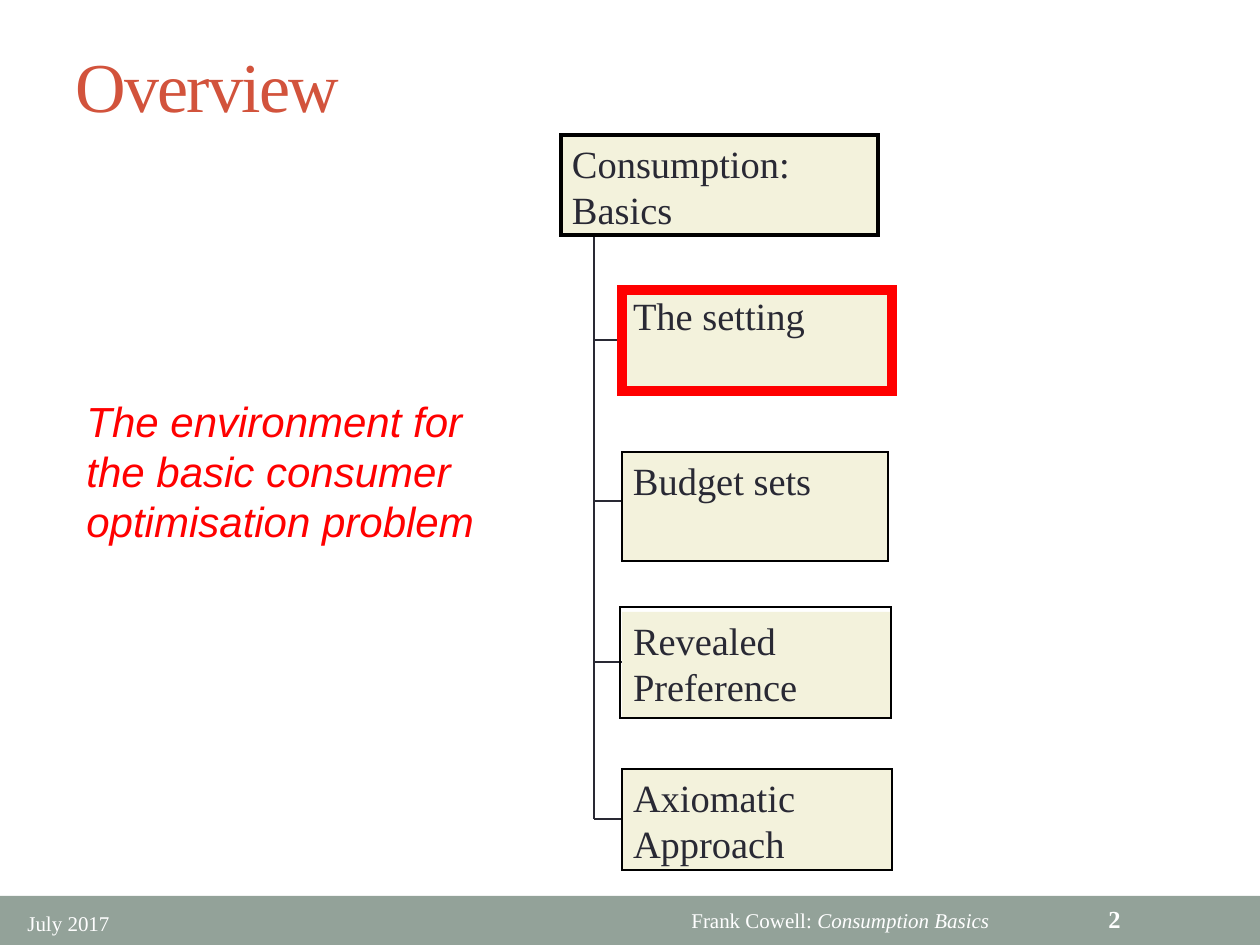
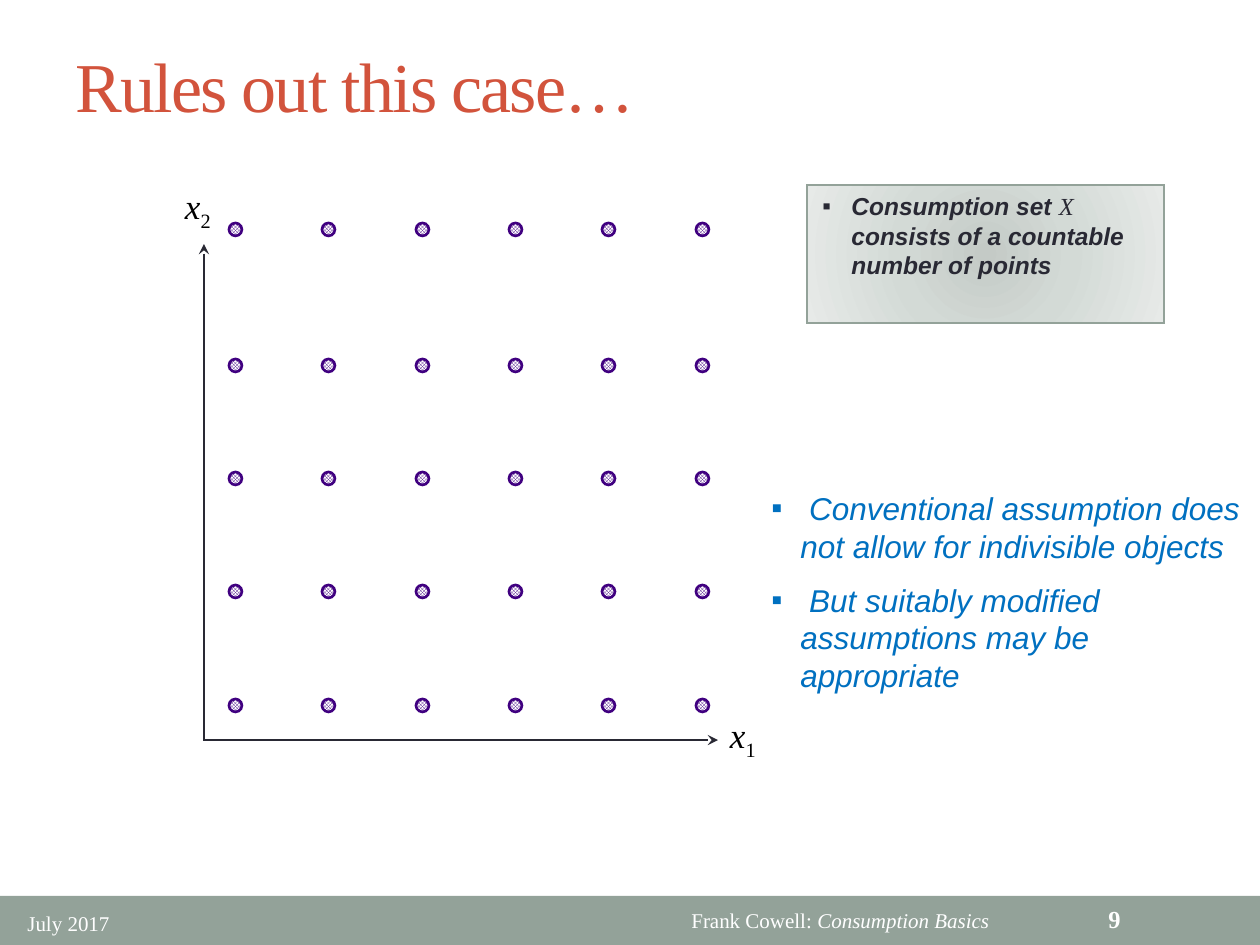
"""Build two consumer theory slides: a topic overview and a discrete consumption set."""
import lxml.etree
import pptx
import pptx.dml.color
import pptx.enum.dml
import pptx.enum.shapes
import pptx.enum.text
import pptx.oxml.ns
import pptx.util

SCALE = 914400 / 126
SERIF, SANS = "Times New Roman", "Arial"
WHITE, BLACK, RED = "FFFFFF", "000000", "FF0000"
SAGE, RUST, INK, CREAM = "93A299", "D2533C", "292934", "F3F2DC"
BLUE, PURPLE = "0070C0", "400080"
MIDDLE = pptx.enum.text.MSO_ANCHOR.MIDDLE
RECTANGLE = pptx.enum.shapes.MSO_SHAPE.RECTANGLE
BULLET_INDENT = 29


def px(value):
    """Turn pixels into EMU."""
    return pptx.util.Emu(round(value * SCALE))


def color(value):
    """Turn a hex string into a colour."""
    return pptx.dml.color.RGBColor.from_string(value)


def add_xml(parent, tag, **attributes):
    """Append a DrawingML element to a parent."""
    return lxml.etree.SubElement(parent, pptx.oxml.ns.qn(tag), attributes)


def set_font(font, name, size, ink, bold=False, italic=False):
    """Set the look of a paragraph or run font."""
    font.name, font.size = name, pptx.util.Pt(size)
    font.bold, font.italic = bold, italic
    font.color.rgb = color(ink)


def set_line(shape, ink, width):
    """Set a sharp-cornered outline on a shape or connector."""
    shape.line.color.rgb = color(ink)
    shape.line.width = pptx.util.Pt(width)
    add_xml(shape.line._get_or_add_ln(), "a:miter", lim="800000")


def add_textbox(slide, box, anchor=None, inset=None):
    """Add a wrapping text box and return its frame."""
    frame = slide.shapes.add_textbox(*map(px, box)).text_frame
    frame.word_wrap = True
    if anchor is not None:
        frame.vertical_anchor = anchor
    if inset is not None:
        frame.margin_left = frame.margin_right = px(inset)
        frame.margin_top = frame.margin_bottom = px(inset)
    return frame


def add_label(slide, box, text, name, size, ink, anchor=None, **style):
    """Add a text box with one paragraph in one style."""
    paragraph = add_textbox(slide, box, anchor).paragraphs[0]
    paragraph.text = text
    set_font(paragraph.font, name, size, ink, **style)
    return paragraph


def add_shape(slide, kind, box, fill=None, line=None, width=1.5):
    """Add a flat preset shape."""
    shape = slide.shapes.add_shape(kind, *map(px, box))
    shape.shadow.inherit = False
    if fill:
        shape.fill.solid()
        shape.fill.fore_color.rgb = color(fill)
    else:
        shape.fill.background()
    if line:
        set_line(shape, line, width)
    else:
        shape.line.fill.background()
    return shape


def add_panel(slide, box, text):
    """Add a cream panel with text at its top left."""
    frame = add_shape(slide, RECTANGLE, box, CREAM).text_frame
    frame.word_wrap = True
    frame.vertical_anchor = pptx.enum.text.MSO_ANCHOR.TOP
    frame.margin_left = frame.margin_right = px(11)
    frame.margin_top = frame.margin_bottom = px(5)
    paragraph = frame.paragraphs[0]
    paragraph.text = text
    paragraph.alignment = pptx.enum.text.PP_ALIGN.LEFT
    set_font(paragraph.font, SERIF, 22, INK)


def add_branch(slide, start, end):
    """Add one straight line of the topic tree."""
    straight = pptx.enum.shapes.MSO_CONNECTOR.STRAIGHT
    connector = slide.shapes.add_connector(straight, *map(px, start + end))
    set_line(connector, INK, 1.5)
    add_xml(connector._element.spPr, "a:effectLst")


def add_axes(slide, top, corner, right):
    """Add both axes as one open outline with arrowheads."""
    builder = slide.shapes.build_freeform(*top, scale=SCALE)
    builder.add_line_segments([corner, right], close=False)
    axes = builder.convert_to_shape()
    axes.shadow.inherit = False
    axes.fill.background()
    set_line(axes, INK, 1.5)
    outline = axes.line._get_or_add_ln()
    for tag in ("a:headEnd", "a:tailEnd"):
        add_xml(outline, tag, type="stealth")


def add_axis_label(slide, box, subscript):
    """Add an italic x with an upright subscript."""
    paragraph = add_textbox(slide, box, inset=0).paragraphs[0]
    for text in ("x", subscript):
        run = paragraph.add_run()
        run.text = text
        set_font(run.font, SERIF, 20, BLACK, italic=text == "x")
    run._r.get_or_add_rPr().set("baseline", "-25000")


def add_dot(slide, left, top):
    """Add one checkered point of the consumption set."""
    oval = pptx.enum.shapes.MSO_SHAPE.OVAL
    dot = add_shape(slide, oval, (left, top, 13, 13), line=PURPLE)
    dot.fill.patterned()
    dot.fill.pattern = pptx.enum.dml.MSO_PATTERN.SMALL_CHECKER_BOARD
    dot.fill.fore_color.rgb = color(PURPLE)
    dot.fill.back_color.rgb = color(WHITE)


def set_radial_fill(shape, stops):
    """Fill a shape with a circular gradient."""
    properties = shape._element.spPr
    gradient = lxml.etree.Element(pptx.oxml.ns.qn("a:gradFill"), rotWithShape="1")
    stop_list = add_xml(gradient, "a:gsLst")
    for percent, ink in stops:
        stop = add_xml(stop_list, "a:gs", pos=str(percent * 1000))
        add_xml(stop, "a:srgbClr", val=ink)
    circle = add_xml(gradient, "a:path", path="circle")
    add_xml(circle, "a:fillToRect", l="50000", t="50000", r="50000", b="50000")
    properties.replace(properties.find(pptx.oxml.ns.qn("a:noFill")), gradient)


def set_bullet(paragraph):
    """Give a paragraph a square bullet with a hanging indent."""
    properties = paragraph._p.get_or_add_pPr()
    properties.set("marL", str(px(BULLET_INDENT)))
    properties.set("indent", str(-px(BULLET_INDENT)))
    add_xml(properties, "a:buFont", typeface=SERIF)
    add_xml(properties, "a:buChar", char="▪")


def add_base_slide(presentation, title, number):
    """Add a slide with the shared title, band and footers."""
    slide = presentation.slides.add_slide(presentation.slide_layouts[6])
    add_shape(slide, RECTANGLE, (0, 896, 1260, 50), SAGE)
    credit = add_textbox(slide, (679, 901, 328, 38)).paragraphs[0]
    for text, italic in (("Frank Cowell: ", False), ("Consumption Basics", True)):
        run = credit.add_run()
        run.text = text
        set_font(run.font, SERIF, 12, WHITE, italic=italic)
    heading = add_label(slide, (63, 16, 1134, 136), title, SERIF, 40, RUST, MIDDLE)
    heading.runs[0]._r.get_or_add_rPr().set("spc", "-100")
    add_label(slide, (15, 901, 218, 45), "July 2017", SERIF, 12, WHITE, MIDDLE)
    add_label(slide, (1096, 896, 147, 45), number, SERIF, 14, WHITE, MIDDLE, bold=True)
    return slide


def build_overview(presentation):
    """Build the topic tree with the current topic framed in red."""
    slide = add_base_slide(presentation, "Overview", "2")
    trunk, twig_end, branches = 594, 622, (340, 501, 662, 819)
    add_branch(slide, (trunk, 236), (trunk, branches[-1]))
    for y in branches:
        add_branch(slide, (trunk, y), (twig_end, y))
    root = (561, 135, 317, 100)
    topics = [
        ("Consumption: Basics", root, root, BLACK, 2.25),
        ("The setting", (622, 287, 270, 101), (622, 290, 270, 101), RED, 6),
        ("Budget sets", (622, 452, 266, 109), (622, 452, 266, 109), BLACK, 1.5),
        ("Revealed Preference", (622, 612, 270, 106), (620, 607, 271, 111), BLACK, 1.5),
        ("Axiomatic Approach", (622, 769, 270, 101), (622, 769, 270, 101), BLACK, 1.5),
    ]
    for text, panel, frame, ink, width in topics:
        add_panel(slide, panel, text)
        add_shape(slide, RECTANGLE, frame, line=ink, width=width)
    remark = "The environment for the basic consumer optimisation problem"
    add_label(slide, (74, 389, 435, 164), remark, SANS, 24, RED, italic=True)


def build_discrete_case(presentation):
    """Build the grid of indivisible consumption points with its remarks."""
    slide = add_base_slide(presentation, "Rules out this case…", "9")
    note = add_shape(slide, RECTANGLE, (807, 185, 357, 138), line=SAGE, width=0.75)
    set_radial_fill(note, [(0, "C4CAC6"), (45, "D3DAD6"), (100, "E7EAE8")])
    add_axis_label(slide, (730, 714, 40, 66), "1")
    add_axes(slide, (204, 244), (204, 740), (718, 740))
    add_axis_label(slide, (185, 185, 40, 66), "2")
    for top in (223, 359, 472, 585, 699):
        for column in range(6):
            add_dot(slide, 229 + round(column * 280 / 3), top)

    definition = add_textbox(slide, (810, 185, 339, 102)).paragraphs[0]
    set_bullet(definition)
    for text, name in (("Consumption set ", SANS), ("X ", SERIF),
                       ("consists of a countable number of points", SANS)):
        run = definition.add_run()
        run.text = text
        set_font(run.font, name, 14, INK, bold=name == SANS, italic=True)

    frame = add_textbox(slide, (759, 483, 501, 184))
    remarks = (" Conventional assumption does not allow for indivisible objects",
               " But suitably modified assumptions may be appropriate")
    frame.text = "\n".join(remarks)
    for paragraph in frame.paragraphs:
        set_bullet(paragraph)
        set_font(paragraph.font, SANS, 18, BLUE, italic=True)
    frame.paragraphs[-1].space_before = pptx.util.Pt(9)


def main():
    """Build and save the presentation."""
    presentation = pptx.Presentation()
    presentation.slide_width, presentation.slide_height = px(1260), px(945)
    build_overview(presentation)
    build_discrete_case(presentation)
    presentation.save("out.pptx")


main()
